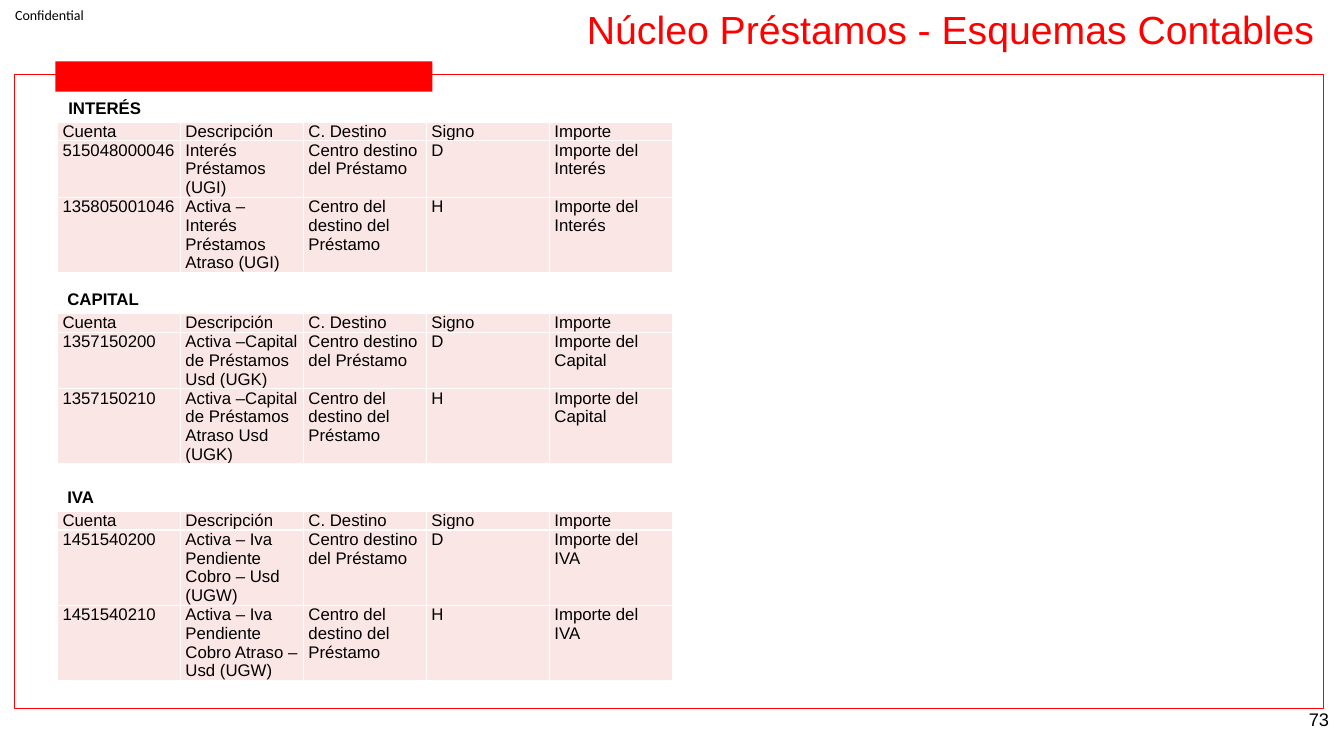
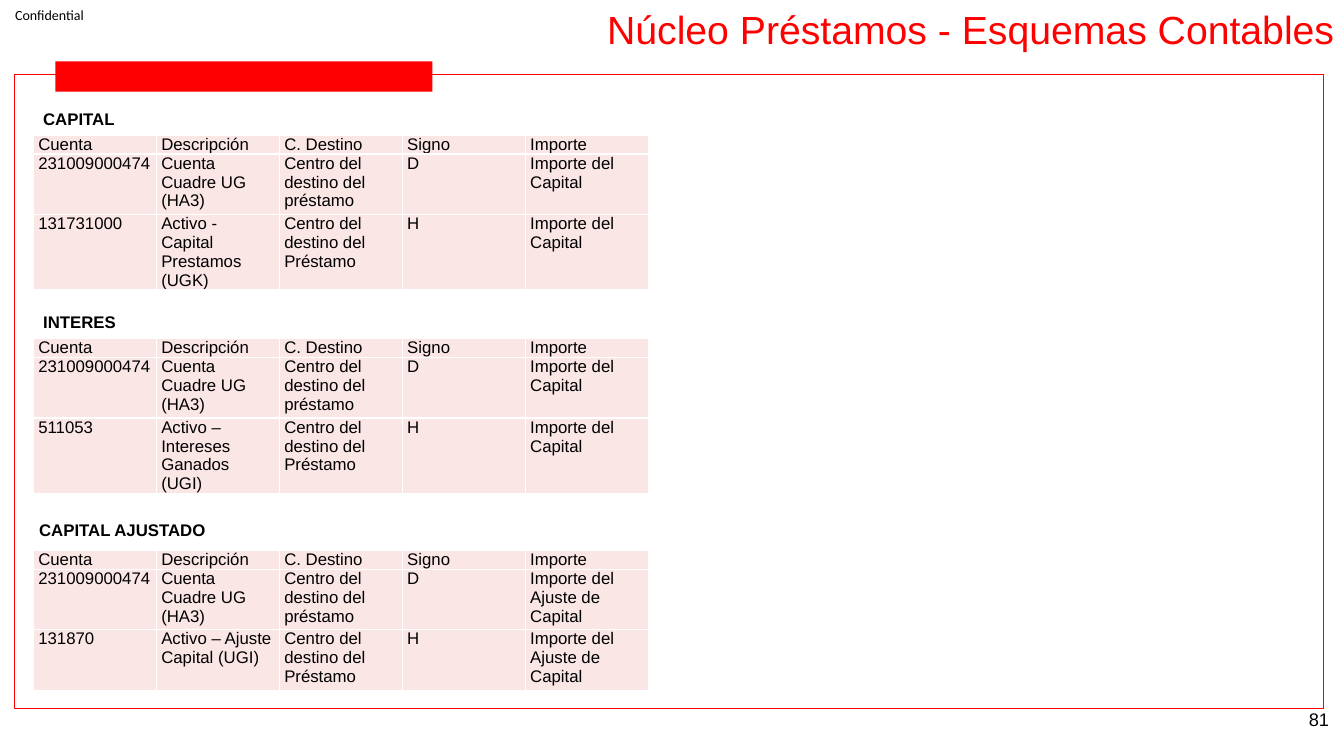
from lxml import etree
from pptx import Presentation
from pptx.dml.color import RGBColor
from pptx.enum.shapes import MSO_SHAPE
from pptx.enum.text import MSO_ANCHOR, MSO_AUTO_SIZE, PP_ALIGN
from pptx.oxml.ns import qn
from pptx.util import Inches, Pt

RECT = MSO_SHAPE.RECTANGLE
TOP, MIDDLE = MSO_ANCHOR.TOP, MSO_ANCHOR.MIDDLE
LEFT, RIGHT = PP_ALIGN.LEFT, PP_ALIGN.RIGHT
NO_FIT = MSO_AUTO_SIZE.NONE

SLIDE_W, SLIDE_H = 13.33, 7.5
RED, ROSE, WHITE, BLACK = "FF0000", "FBE6E6", "FFFFFF", "000000"
TITLE = "Núcleo Préstamos - Esquemas Contables"
HEADER = ("Cuenta", "Descripción", "C. Destino", "Signo", "Importe")
COL_W, HEADER_H, LABEL_H = 1.22, 0.17, 0.3

DESTINO = "Centro destino del Préstamo"
DEL_DESTINO = "Centro del destino del Préstamo"
DEL_DESTINO_MIN = "Centro del destino del préstamo"
CUADRE = ("231009000474", "Cuenta Cuadre UG (HA3)")

# Each scheme: label, label left, label centre, table top, amount,
# then account and description of the debit and credit rows.
SLIDES = [
    dict(number="73", title_w=13.14, table_left=0.57, row_h=0.17, debit_centre=DESTINO, schemes=[
        ("INTERÉS", 0.58, 1.07, 1.21, "Importe del Interés",
         ("515048000046", "Interés Préstamos (UGI)"),
         ("135805001046", "Activa – Interés Préstamos Atraso (UGI)")),
        ("CAPITAL", 0.57, 2.96, 3.11, "Importe del Capital",
         ("1357150200", "Activa –Capital de Préstamos Usd (UGK)"),
         ("1357150210", "Activa –Capital de Préstamos Atraso Usd (UGK)")),
        ("IVA", 0.57, 4.93, 5.07, "Importe del IVA",
         ("1451540200", "Activa – Iva Pendiente Cobro – Usd (UGW)"),
         ("1451540210", "Activa – Iva Pendiente Cobro Atraso – Usd (UGW)")),
    ]),
    dict(number="81", title_w=13.34, table_left=0.33, row_h=0.6, debit_centre=DEL_DESTINO_MIN, schemes=[
        ("CAPITAL", 0.33, 1.18, 1.34, "Importe del Capital", CUADRE,
         ("131731000", "Activo - Capital Prestamos (UGK)")),
        ("INTERES", 0.33, 3.19, 3.36, "Importe del Capital", CUADRE,
         ("511053", "Activo – Intereses Ganados (UGI)")),
        ("CAPITAL AJUSTADO", 0.29, 5.26, 5.46, "Importe del Ajuste de Capital", CUADRE,
         ("131870", "Activo – Ajuste Capital (UGI)")),
    ]),
]


def rgb(color):
    return RGBColor.from_string(color)


def inches(*lengths):
    return [Inches(v) for v in lengths]


def write(tf, text, size, color=BLACK, font="Arial", bold=False, align=LEFT):
    p = tf.paragraphs[0]
    p.text = text
    p.alignment = align
    p.font.size, p.font.name, p.font.bold = Pt(size), font, bold
    p.font.color.rgb = rgb(color)


def set_frame(tf, anchor, inset_x, inset_y):
    tf.word_wrap, tf.auto_size, tf.vertical_anchor = True, NO_FIT, anchor
    tf.margin_left = tf.margin_right = Inches(inset_x)
    tf.margin_top = tf.margin_bottom = Inches(inset_y)


def add_text(slide, box, text, size, anchor=MIDDLE, insets=(0.1, 0.05), **style):
    tf = slide.shapes.add_textbox(*inches(*box)).text_frame
    set_frame(tf, anchor, *insets)
    write(tf, text, size, **style)


def add_rect(slide, box, fill=None, line=None):
    sp = slide.shapes.add_shape(RECT, *inches(*box))
    sp.shadow.inherit = False
    if fill:
        sp.fill.solid()
        sp.fill.fore_color.rgb = rgb(fill)
    else:
        sp.fill.background()
    if line:
        sp.line.color.rgb = rgb(line)
        sp.line.width = Pt(0.75)
    else:
        sp.line.fill.background()


def add_title(slide, width):
    title = slide.shapes.title
    title.left, title.top, title.width, title.height = inches(-0.01, 0, width, 0.64)
    set_frame(title.text_frame, TOP, 0.1, 0.05)
    write(title.text_frame, TITLE, 28, color=RED, align=RIGHT)


def add_chrome(slide, number):
    """Confidentiality mark, red frame with its tab, and page number."""
    add_text(slide, (0.15, 0, 0.99, 0.29), "Confidential", 10, insets=(0, 0), font="Calibri")
    add_rect(slide, (0.14, 0.74, 12.99, 6.29), line=RED)
    add_rect(slide, (0.55, 0.61, 3.74, 0.3), fill=RED)
    add_text(slide, (12.48, 6.93, 0.8, 0.57), number, 13, anchor=TOP, insets=(0.1, 0.1), align=RIGHT)


def set_borders(cell, color):
    tc_pr = cell._tc.get_or_add_tcPr()
    for side in ("lnL", "lnR", "lnT", "lnB"):
        ln = etree.SubElement(tc_pr, qn(f"a:{side}"), w=str(Pt(1)))
        fill = etree.SubElement(ln, qn("a:solidFill"))
        etree.SubElement(fill, qn("a:srgbClr"), val=color)


def fill_cell(cell, text):
    set_borders(cell, WHITE)
    cell.fill.solid()
    cell.fill.fore_color.rgb = rgb(ROSE)
    cell.margin_left = cell.margin_right = Inches(0.05)
    cell.margin_top = cell.margin_bottom = 0
    write(cell.text_frame, text, 12)


def add_entry_table(slide, left, top, row_h, rows):
    heights = [HEADER_H] + [row_h] * (len(rows) - 1)
    box = inches(left, top, COL_W * len(HEADER), sum(heights))
    table = slide.shapes.add_table(len(rows), len(HEADER), *box).table
    table.first_row = table.horz_banding = False
    for column in table.columns:
        column.width = Inches(COL_W)
    for row, height, texts in zip(table.rows, heights, rows):
        row.height = Inches(height)
        for cell, text in zip(row.cells, texts):
            fill_cell(cell, text)


def build_slide(prs, number, title_w, table_left, row_h, debit_centre, schemes):
    slide = prs.slides.add_slide(prs.slide_layouts[5])
    add_title(slide, title_w)
    add_chrome(slide, number)
    for label, label_left, centre, top, amount, debit, credit in schemes:
        rows = [HEADER,
                (*debit, debit_centre, "D", amount),
                (*credit, DEL_DESTINO, "H", amount)]
        add_entry_table(slide, table_left, top, row_h, rows)
        add_text(slide, (label_left, centre - LABEL_H / 2, 2.5, LABEL_H), label, 12, bold=True)


def main():
    prs = Presentation()
    prs.slide_width, prs.slide_height = inches(SLIDE_W, SLIDE_H)
    for content in SLIDES:
        build_slide(prs, **content)
    prs.save("out.pptx")


if __name__ == "__main__":
    main()
